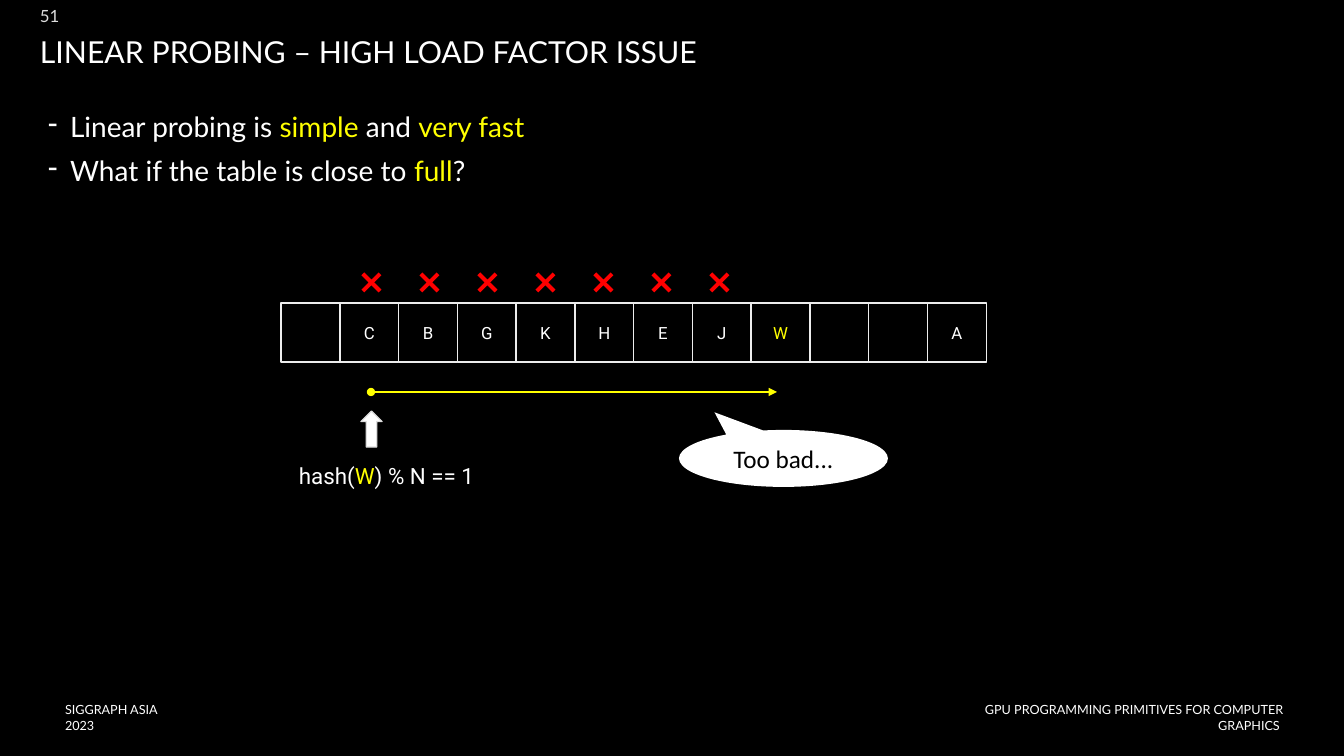
from lxml import etree
from pptx import Presentation
from pptx.dml.color import RGBColor
from pptx.enum.shapes import MSO_CONNECTOR, MSO_SHAPE
from pptx.enum.text import MSO_ANCHOR, PP_ALIGN
from pptx.oxml.ns import qn
from pptx.util import Emu, Pt

RECT = MSO_SHAPE.RECTANGLE
CROSS = MSO_SHAPE.MATH_MULTIPLY
ARROW = MSO_SHAPE.UP_ARROW
BUBBLE = MSO_SHAPE.OVAL_CALLOUT
LEFT, MID, RIGHT = PP_ALIGN.LEFT, PP_ALIGN.CENTER, PP_ALIGN.RIGHT
TOP, MIDDLE = MSO_ANCHOR.TOP, MSO_ANCHOR.MIDDLE

COLORS = {"black": "000000", "white": "FFFFFF", "yellow": "FFFF00",
          "red": "FF0000", "grid": "EDEDED", "gray": "DDDDDD"}

# Each paragraph is a list of (text, colour) runs.
NUMBER = [[("51", "gray")]]
TITLE = [[("LINEAR PROBING – HIGH LOAD FACTOR ISSUE", "white")]]
POINTS = [
    [("Linear probing is ", "white"), ("simple", "yellow"),
     (" and ", "white"), ("very fast", "yellow")],
    [("What if the table is close to ", "white"), ("full", "yellow"),
     ("?", "white")],
]
SLOTS = ["", "C", "B", "G", "K", "H", "E", "J", "W", "", "", "A"]
NEW_KEY = "W"
HASH = [[("hash(", "white"), (NEW_KEY, "yellow"), (") % N == 1", "white")]]
REMARK = [[("Too bad...", "black")]]
EVENT = [[("SIGGRAPH ASIA 2023", "white")]]
COURSE = [[("GPU PROGRAMMING PRIMITIVES FOR COMPUTER GRAPHICS ", "white")]]

WIDTH, HEIGHT = 1344, 756
ROW_LEFT, ROW_TOP, ROW_WIDTH, CELL = 281, 303, 705, 59
MARK_LEFT, MARK_TOP, MARK_STEP, MARK = 355, 266, 58, 33
HOME = SLOTS.index("C")
PROBES = SLOTS.index(NEW_KEY) - HOME


def px(n):
    return Emu(round(n * 914400 / 100.8))


def rgb(name):
    return RGBColor.from_string(COLORS[name])


def write(shape, paras, size=12, font="Lato", align=LEFT, anchor=MIDDLE,
          inset=(0, 0), spacing=None, before=0, dash=False):
    """Fill a shape with paragraphs of coloured runs."""
    frame = shape.text_frame
    frame.word_wrap = True
    frame.vertical_anchor = anchor
    frame.margin_left = frame.margin_right = px(inset[0])
    frame.margin_top = frame.margin_bottom = px(inset[1])
    for i, runs in enumerate(paras):
        para = frame.add_paragraph() if i else frame.paragraphs[0]
        para.alignment = align
        if spacing:
            para.line_spacing = spacing
        if i:
            para.space_before = Pt(before)
        if dash:
            props = para._p.get_or_add_pPr()
            props.set("marL", str(px(22)))
            props.set("indent", str(-px(22)))
            etree.SubElement(props, qn("a:buChar")).set("char", "-")
        for text, color in runs:
            run = para.add_run()
            run.text = text
            run.font.size = Pt(size)
            run.font.name = font
            run.font.color.rgb = rgb(color)


def label(slide, box, paras, **style):
    write(slide.shapes.add_textbox(*map(px, box)), paras, **style)


def draw(slide, kind, box, fill=None, line=None):
    shape = slide.shapes.add_shape(kind, *map(px, box))
    shape.shadow.inherit = False
    if fill:
        shape.fill.solid()
        shape.fill.fore_color.rgb = rgb(fill)
    else:
        shape.fill.background()
    if line:
        shape.line.color.rgb = rgb(line)
        shape.line.width = Pt(1)
    else:
        shape.line.fill.background()
    return shape


def trace(slide, start, end, color):
    """Draw an arrow that starts with a dot."""
    link = slide.shapes.add_connector(
        MSO_CONNECTOR.STRAIGHT, *map(px, start + end))
    link.line.color.rgb = rgb(color)
    link.line.width = Pt(1)
    stroke = link.line._get_or_add_ln()
    for tag, kind in (("a:headEnd", "oval"), ("a:tailEnd", "triangle")):
        etree.SubElement(stroke, qn(tag)).set("type", kind)
    etree.SubElement(link._element.spPr, qn("a:effectLst"))


def main():
    deck = Presentation()
    deck.slide_width, deck.slide_height = px(WIDTH), px(HEIGHT)
    slide = deck.slides.add_slide(deck.slide_layouts[6])
    slide.background.fill.solid()
    slide.background.fill.fore_color.rgb = rgb("black")

    label(slide, (65, 710, 109, 15), EVENT, size=9)
    label(slide, (965, 710, 318, 15), COURSE, size=9, align=RIGHT)
    label(slide, (40, 6, 20, 20), NUMBER)
    label(slide, (35, 33, 1280, 42), TITLE, size=21.6, inset=(5, 5),
          spacing=0.9)
    label(slide, (43, 108, 1152, 97), POINTS, size=20, anchor=TOP,
          inset=(5, 5), spacing=0.9, before=10, dash=True)

    for i, key in enumerate(SLOTS):
        left = ROW_LEFT + i * ROW_WIDTH / len(SLOTS)
        cell = draw(slide, RECT, (left, ROW_TOP, CELL, CELL), line="grid")
        if key:
            color = "yellow" if key == NEW_KEY else "white"
            write(cell, [[(key, color)]], font="Roboto", align=MID)

    for i in range(PROBES):
        left = MARK_LEFT + i * MARK_STEP
        mark = draw(slide, CROSS, (left, MARK_TOP, MARK, MARK), fill="red")
        mark.adjustments[0] = 0.12

    trace(slide, (371, 392), (777, 392), "yellow")
    draw(slide, ARROW, (361, 411, 21, 36), fill="white", line="gray")
    label(slide, (289, 457, 210, 37), HASH, size=16, font="Roboto",
          anchor=TOP, inset=(10, 5))

    bubble = draw(slide, BUBBLE, (679, 430, 209, 57), fill="white")
    bubble.adjustments[0] = -0.33
    bubble.adjustments[1] = -0.81
    write(bubble, REMARK, size=18, font="Calibri", align=MID, inset=(5, 5))

    deck.save("out.pptx")


if __name__ == "__main__":
    main()
